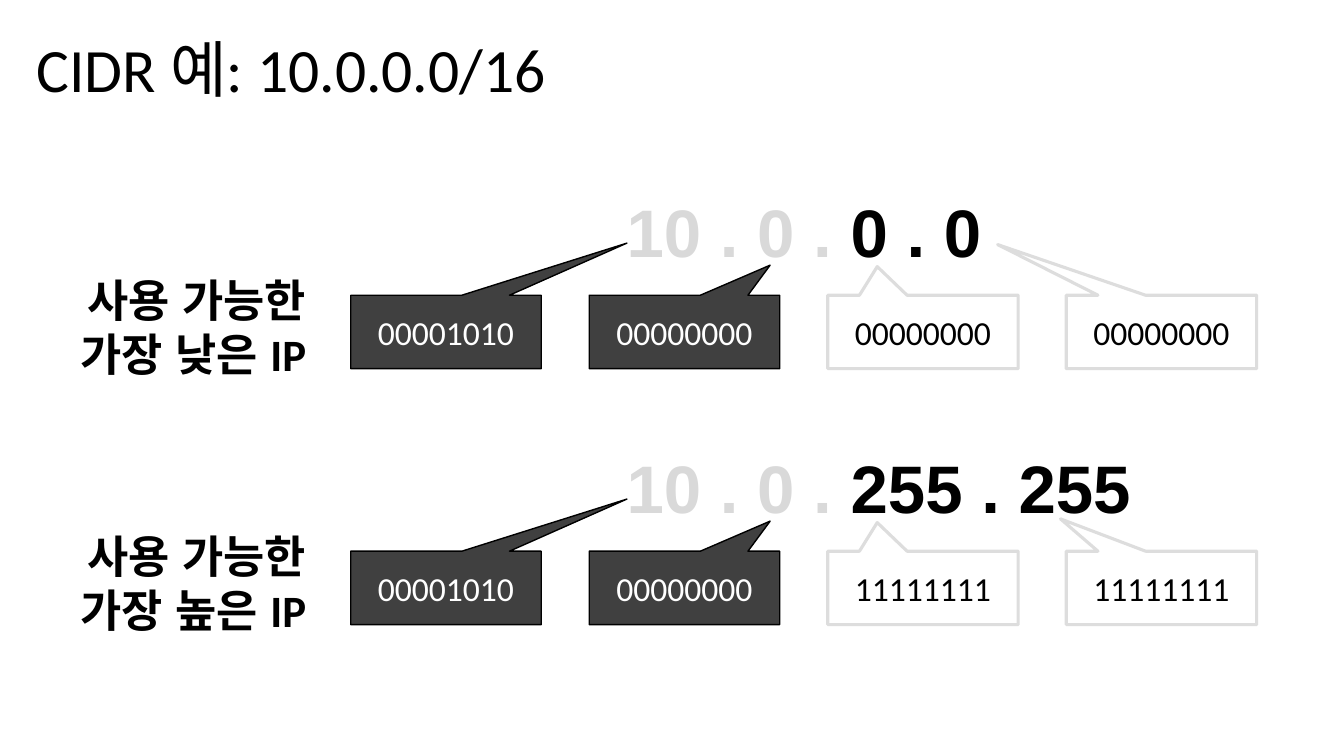
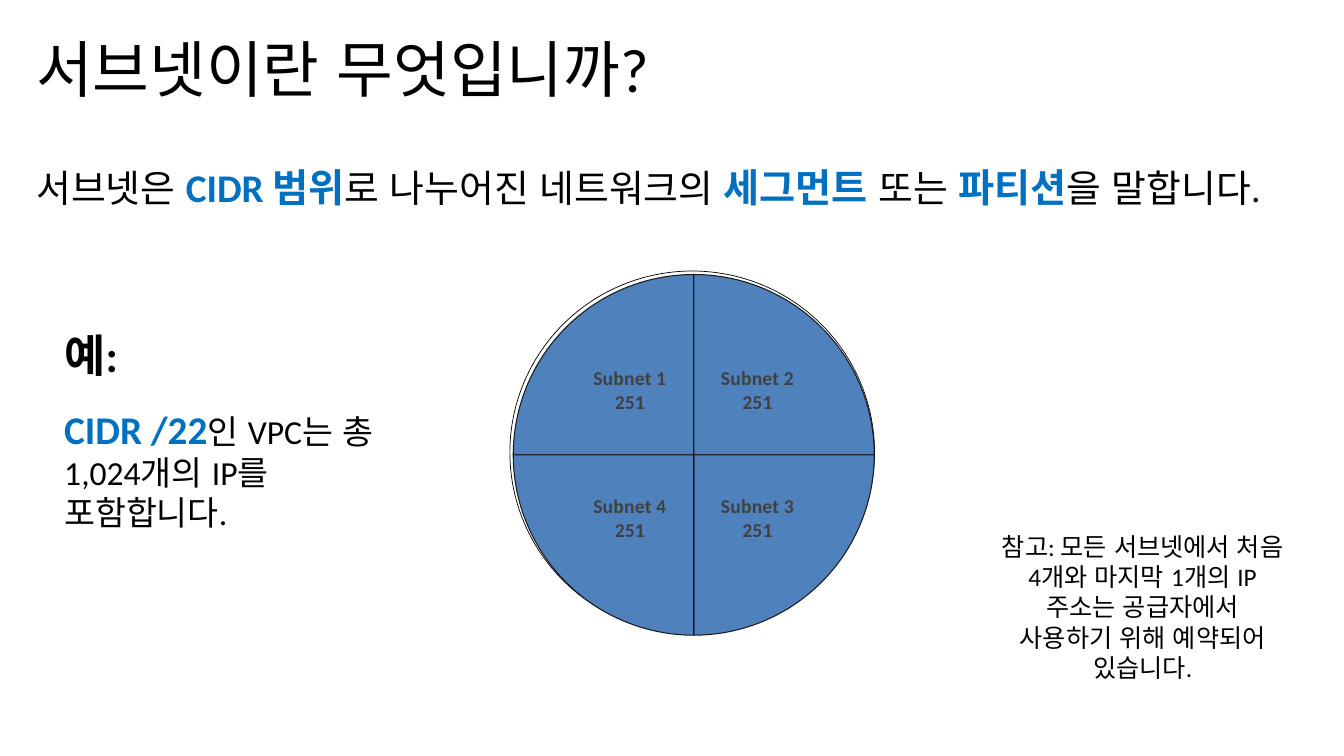
from lxml.etree import Element, SubElement
from pptx import Presentation
from pptx.chart.data import CategoryChartData
from pptx.dml.color import RGBColor
from pptx.enum.chart import XL_CHART_TYPE, XL_LABEL_POSITION
from pptx.enum.lang import MSO_LANGUAGE_ID
from pptx.enum.shapes import MSO_SHAPE
from pptx.enum.text import MSO_ANCHOR, MSO_AUTO_SIZE, PP_ALIGN
from pptx.oxml.ns import qn
from pptx.util import Cm, Pt

BLACK, WHITE, DARK, PALE, BORDER = "000000", "FFFFFF", "404040", "D9D9D9", "DDDDDD"
BLUE, SLICE, SLICE_EDGE = "0070C0", "B8B8B8", "191919"

PLAIN = {"size": 27, "color": BLACK}
TERM = {"size": 28, "color": BLUE, "bold": True}
HEADING = {"size": 32, "color": BLACK, "bold": True}
BODY = {"size": 24, "color": BLACK}
NOTE = {"size": 18, "color": BLACK}
NETWORK = {"size": 48, "color": PALE, "bold": True, "name": "Arial"}
HOST = {**NETWORK, "color": BLACK}

CIDR_TITLE = "CIDR 예: 10.0.0.0/16"
ADDRESS_ROWS = [
    {"label": "사용 가능한\n가장 낮은 IP", "host": "0 . 0",
     "octets": ["00001010", "00000000", "00000000", "00000000"],
     "tips": [(0.95, -1.21), (0.45, -0.91), (-0.24, -0.89), (-0.86, -1.19)]},
    {"label": "사용 가능한\n가장 높은 IP", "host": "255 . 255",
     "octets": ["00001010", "00000000", "11111111", "11111111"],
     "tips": [(0.95, -1.21), (0.45, -0.91), (-0.24, -0.89), (-0.53, -0.94)]},
]
NETWORK_OCTETS = 2
ROW_TOP, ROW_PITCH = 7.44, 6.45
OCTET_LEFT, OCTET_PITCH, OCTET_WIDTH, OCTET_HEIGHT = 8.84, 6.01, 4.8, 1.85
NETWORK_BOX = {"fill": DARK, "line": BLACK, "width": 1, "text": WHITE}
HOST_BOX = {"fill": WHITE, "line": BORDER, "width": 2.25, "text": BLACK}

SUBNET_TITLE = "서브넷이란 무엇입니까?"
DEFINITION = [
    ("서브넷은 ", PLAIN), ("CIDR", TERM), (" ", PLAIN), ("범위", TERM),
    ("로 나누어진 네트워크의 ", PLAIN), ("세그먼트", TERM), (" 또는 ", PLAIN),
    ("파티션", TERM), ("을 말합니다.", PLAIN),
]
SUBNET_TEXTS = [
    ((1.37, 8.13, 8.74, 1.63), [("예:", HEADING)], PP_ALIGN.LEFT),
    ((1.37, 10.08, 9.73, 3.51),
     [("CIDR /22", TERM), ("인 VPC는 총 1,024개의 IP를 포함합니다.", BODY)], PP_ALIGN.LEFT),
    ((24.97, 13.26, 7.65, 4.11),
     [("참고: 모든 서브넷에서 처음 4개와 마지막 1개의 IP 주소는 "
       "공급자에서 사용하기 위해 예약되어 있습니다.", NOTE)], PP_ALIGN.CENTER),
]
SUBNETS = {"Subnet 1": 251, "Subnet 2": 251, "Subnet 3": 251, "Subnet 4": 251}
PIE_LAYOUT = {"layoutTarget": "inner", "xMode": "edge", "yMode": "edge",
              "x": 0.28, "y": 0.13, "w": 0.43, "h": 0.87}


def rgb(value):
    return RGBColor.from_string(value)


def cm_box(box):
    return [Cm(length) for length in box]


def style_font(font, size, color, bold=False, name="Calibri"):
    values = {"size": Pt(size), "bold": bold, "name": name,
              "language_id": MSO_LANGUAGE_ID.KOREAN}
    for attribute, value in values.items():
        setattr(font, attribute, value)
    font.color.rgb = rgb(color)


def write(shape, segments, **paragraph_format):
    frame = shape.text_frame
    frame.word_wrap = True
    frame.auto_size = MSO_AUTO_SIZE.NONE
    paragraph = frame.paragraphs[0]
    for attribute, value in {"space_before": Pt(0), **paragraph_format}.items():
        setattr(paragraph, attribute, value)
    for text, style in segments:
        for number, line in enumerate(text.split("\n")):
            if number:
                paragraph.add_line_break()
            run = paragraph.add_run()
            run.text = line
            style_font(run.font, **style)
    return frame


def place(shape, box):
    shape.left, shape.top, shape.width, shape.height = cm_box(box)


def add_titled_slide(deck, layout, title):
    slide = deck.slides.add_slide(deck.slide_layouts[layout])
    place(slide.shapes.title, (0.66, 0.74, 30.89, 2.16))
    frame = write(slide.shapes.title, [(title, {"size": 44, "color": BLACK})],
                  alignment=PP_ALIGN.LEFT, line_spacing=0.9)
    frame.vertical_anchor = MSO_ANCHOR.MIDDLE
    return slide


def add_text(slide, box, segments, alignment):
    return write(slide.shapes.add_textbox(*cm_box(box)), segments, alignment=alignment)


def add_octet(slide, left, top, octet, tip, look):
    callout = slide.shapes.add_shape(
        MSO_SHAPE.RECTANGULAR_CALLOUT, *cm_box((left, top, OCTET_WIDTH, OCTET_HEIGHT)))
    callout.shadow.inherit = False
    callout.adjustments[0], callout.adjustments[1] = tip
    callout.fill.solid()
    callout.fill.fore_color.rgb = rgb(look["fill"])
    callout.line.color.rgb = rgb(look["line"])
    callout.line.width = Pt(look["width"])
    frame = write(callout, [(octet, {"size": 24, "color": look["text"]})],
                  alignment=PP_ALIGN.CENTER)
    frame.vertical_anchor = MSO_ANCHOR.MIDDLE


def add_address_row(slide, top, row):
    for column, (octet, tip) in enumerate(zip(row["octets"], row["tips"])):
        look = NETWORK_BOX if column < NETWORK_OCTETS else HOST_BOX
        add_octet(slide, OCTET_LEFT + column * OCTET_PITCH, top, octet, tip, look)
    add_text(slide, (15.54, top - 2.77, 14.43, 2.31),
             [("10 . 0 . ", NETWORK), (row["host"], HOST)], PP_ALIGN.LEFT)
    label = add_text(slide, (0.5, top - 0.75, 7.55, 3.35),
                     [(row["label"], HEADING)], PP_ALIGN.RIGHT)
    margins = {"margin_left": 0.33, "margin_right": 0.33,
               "margin_top": 0.18, "margin_bottom": 0.18}
    for attribute, margin in margins.items():
        setattr(label, attribute, Cm(margin))


def add_definition(slide):
    body = slide.placeholders[1]
    place(body, (0.66, 3.99, 31.52, 13.64))
    frame = write(body, DEFINITION, alignment=PP_ALIGN.JUSTIFY)
    properties = frame.paragraphs[0]._p.get_or_add_pPr()
    properties.set("marL", "0")
    properties.set("indent", "0")
    SubElement(properties, qn("a:buNone"))


def add_subnet_pie(slide):
    outline = slide.shapes.add_shape(MSO_SHAPE.OVAL, *cm_box((12.85, 6.83, 9.19, 9.14)))
    outline.shadow.inherit = False
    outline.fill.background()
    outline.line.color.rgb = rgb(BLACK)
    outline.line.width = Pt(0.5)

    counts = CategoryChartData()
    counts.categories = list(SUBNETS)
    counts.add_series("Series 1", list(SUBNETS.values()))
    chart = slide.shapes.add_chart(
        XL_CHART_TYPE.PIE, *cm_box((6.96, 5.56, 21.26, 10.46)), counts).chart
    chart.has_legend = chart.has_title = False
    style_font(chart.font, 10, BLACK, name="Arial")
    chart.plots[0].vary_by_categories = False

    subnets = chart.plots[0].series[0]
    subnets.format.fill.solid()
    subnets.format.fill.fore_color.rgb = rgb(SLICE)
    subnets.format.line.color.rgb = rgb(SLICE_EDGE)
    subnets.format.line.width = Pt(0.75)

    labels = subnets.data_labels
    label_format = {"show_value": True, "show_category_name": True,
                    "show_percentage": False, "position": XL_LABEL_POSITION.CENTER}
    for attribute, value in label_format.items():
        setattr(labels, attribute, value)
    style_font(labels.font, 14, DARK, bold=True)

    separator = Element(qn("c:separator"))
    separator.text = "\n"
    chart.element.find(".//" + qn("c:showBubbleSize")).addnext(separator)
    plot_area = chart.element.find(".//" + qn("c:plotArea"))
    SubElement(plot_area.find(qn("c:pieChart")), qn("c:firstSliceAng")).set("val", "270")
    for automatic in plot_area.findall(qn("c:layout")):
        plot_area.remove(automatic)
    layout = Element(qn("c:layout"))
    manual = SubElement(layout, qn("c:manualLayout"))
    for tag, value in PIE_LAYOUT.items():
        SubElement(manual, qn("c:" + tag)).set("val", str(value))
    plot_area.insert(0, layout)


def main():
    deck = Presentation()
    deck.slide_width, deck.slide_height = Cm(33.87), Cm(19.05)

    cidr = add_titled_slide(deck, 5, CIDR_TITLE)
    for number, row in enumerate(ADDRESS_ROWS):
        add_address_row(cidr, ROW_TOP + number * ROW_PITCH, row)

    subnet = add_titled_slide(deck, 1, SUBNET_TITLE)
    add_definition(subnet)
    for box, segments, alignment in SUBNET_TEXTS:
        add_text(subnet, box, segments, alignment)
    add_subnet_pie(subnet)

    deck.save("out.pptx")


if __name__ == "__main__":
    main()
